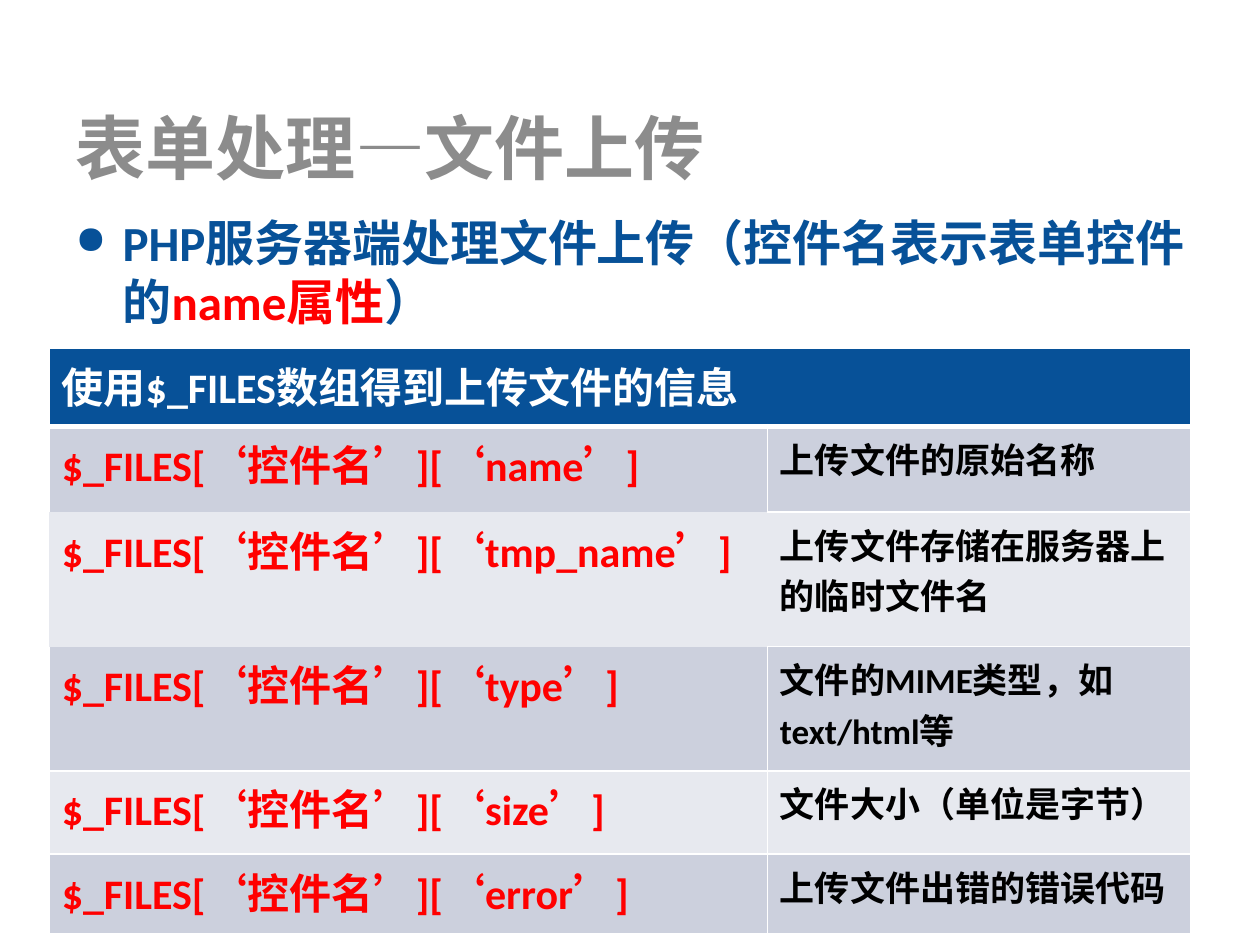
import pptx
import pptx.dml.color
import pptx.enum.text
import pptx.oxml
import pptx.oxml.ns
import pptx.util

Pt = pptx.util.Pt
FONT = "Calibri"
COLORS = {"title": "8C8C8C", "blue": "075198", "red": "FF0000", "black": "000000",
          "white": "FFFFFF", "dark_band": "CCD0DD", "light_band": "E7E9EF"}

# Content
TITLE = "表单处理—文件上传"
BULLET = [("PHP服务器端处理文件上传（控件名表示表单控件的", "blue"),
          ("name属性", "red"), ("）", "blue")]
HEADER = "使用$_FILES数组得到上传文件的信息"
FIELDS = [("name", "上传文件的原始名称"),
          ("tmp_name", "上传文件存储在服务器上的临时文件名"),
          ("type", "文件的MIME类型，如text/html等"),
          ("size", "文件大小（单位是字节）"),
          ("error", "上传文件出错的错误代码")]
COL_WIDTHS = [410.4, 241.9]
ROW_HEIGHTS = [44.6, 49, 77, 71, 47.5, 45.4]
OPEN_ROW = 2  # its first cell has no borders


def rgb(name):
    return pptx.dml.color.RGBColor.from_string(COLORS[name])


def style(p, size, color=None):
    p.font.name, p.font.size, p.font.bold = FONT, Pt(size), True
    if color:
        p.font.color.rgb = rgb(color)


def add_box(s, top, height):
    tf = s.shapes.add_textbox(Pt(36), Pt(top), Pt(648), Pt(height)).text_frame
    tf.word_wrap = True
    return tf


def add_xml(parent, body):
    ns = pptx.oxml.ns.nsdecls("a")
    for el in pptx.oxml.parse_xml(f"<a:x {ns}>{body}</a:x>"):
        parent.append(el)


def border_xml(side, width):
    if not width:
        return f'<a:{side} w="0"><a:noFill/></a:{side}>'
    return (f'<a:{side} w="{Pt(width)}"><a:solidFill><a:srgbClr val="{COLORS["white"]}"/>'
            f'</a:solidFill></a:{side}>')


def fill_cell(cell, text, size, color, fill, borders):
    p = cell.text_frame.paragraphs[0]
    p.text = text
    style(p, size, color)
    # Borders come before the fill in the cell properties
    add_xml(cell._tc.get_or_add_tcPr(),
            "".join(border_xml(side, w) for side, w in borders.items()))
    cell.fill.solid()
    cell.fill.fore_color.rgb = rgb(fill)


def cell_borders(row, col):
    if (row, col) == (OPEN_ROW, 0):
        return dict.fromkeys(("lnL", "lnR", "lnT", "lnB"), 0)
    return {"lnL": 0 if (row, col) == (OPEN_ROW, 1) else 1,
            "lnR": 1,
            "lnT": 3 if row == 1 else 0 if (row, col) == (OPEN_ROW + 1, 0) else 1,
            "lnB": 3 if row == 0 else 0 if (row, col) == (OPEN_ROW - 1, 0) else 1}


prs = pptx.Presentation()
prs.slide_width, prs.slide_height = Pt(720), Pt(540)
s = prs.slides.add_slide(prs.slide_layouts[6])

# Title
tf = add_box(s, 56.2, 55.4)
tf.vertical_anchor = pptx.enum.text.MSO_ANCHOR.MIDDLE
p = tf.paragraphs[0]
p.text = TITLE
style(p, 40, "title")

# Bullet
p = add_box(s, 118, 90).paragraphs[0]
for text, color in BULLET:
    r = p.add_run()
    r.text = text
    r.font.color.rgb = rgb(color)
pPr = p._p.get_or_add_pPr()
pPr.set("marL", str(Pt(27)))
pPr.set("indent", str(Pt(-27)))
add_xml(pPr, f'<a:buClr><a:srgbClr val="{COLORS["blue"]}"/></a:buClr>'
             '<a:buSzPct val="80000"/><a:buChar char="●"/>')
style(p, 28)

# Table of upload fields
table = s.shapes.add_table(len(FIELDS) + 1, 2, Pt(28.1), Pt(199),
                           Pt(sum(COL_WIDTHS)), Pt(sum(ROW_HEIGHTS))).table
table.horz_banding = False
for column, width in zip(table.columns, COL_WIDTHS):
    column.width = Pt(width)
for row, height in zip(table.rows, ROW_HEIGHTS):
    row.height = Pt(height)

table.cell(0, 0).merge(table.cell(0, 1))
fill_cell(table.cell(0, 0), HEADER, 24, "white", "blue", cell_borders(0, 0))
for i, (key, meaning) in enumerate(FIELDS, 1):
    band = "dark_band" if i % 2 else "light_band"
    fill_cell(table.cell(i, 0), f"$_FILES[‘控件名’][‘{key}’]", 24, "red", band,
              cell_borders(i, 0))
    fill_cell(table.cell(i, 1), meaning, 20, "black", band, cell_borders(i, 1))

prs.save("out.pptx")
